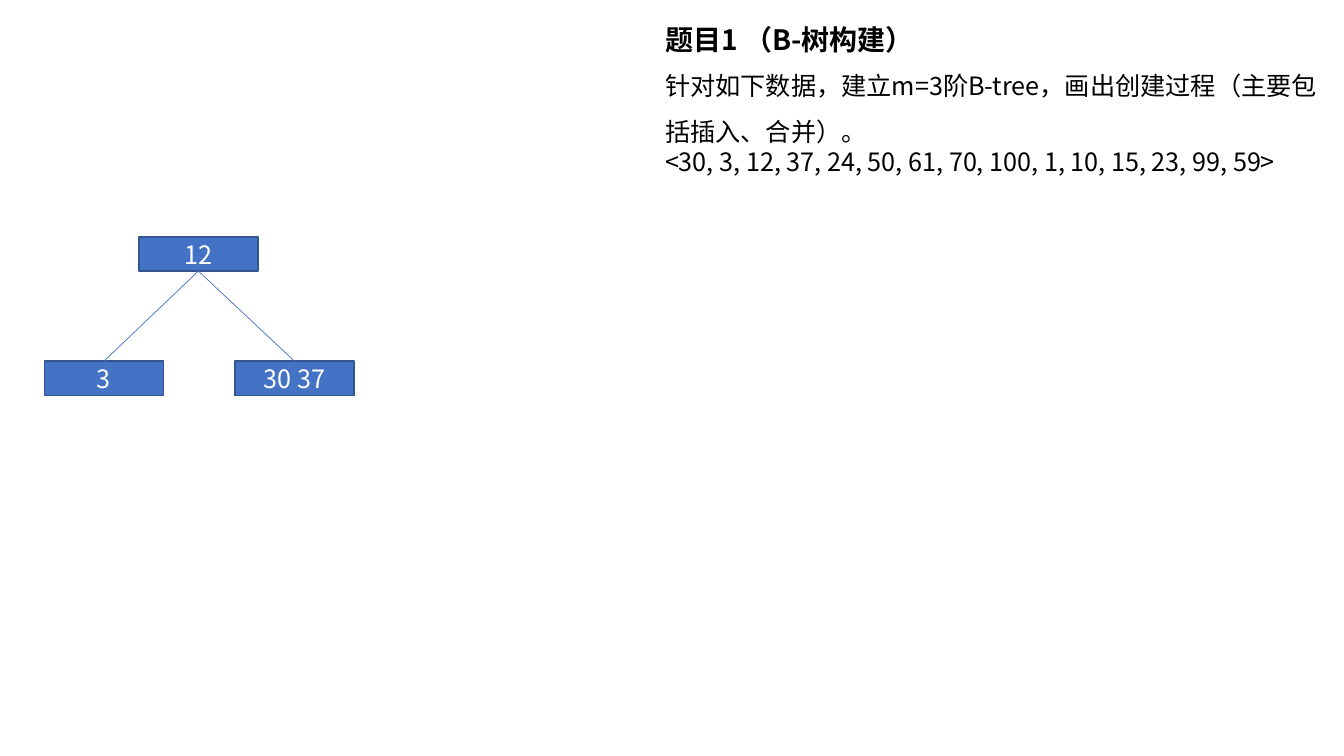
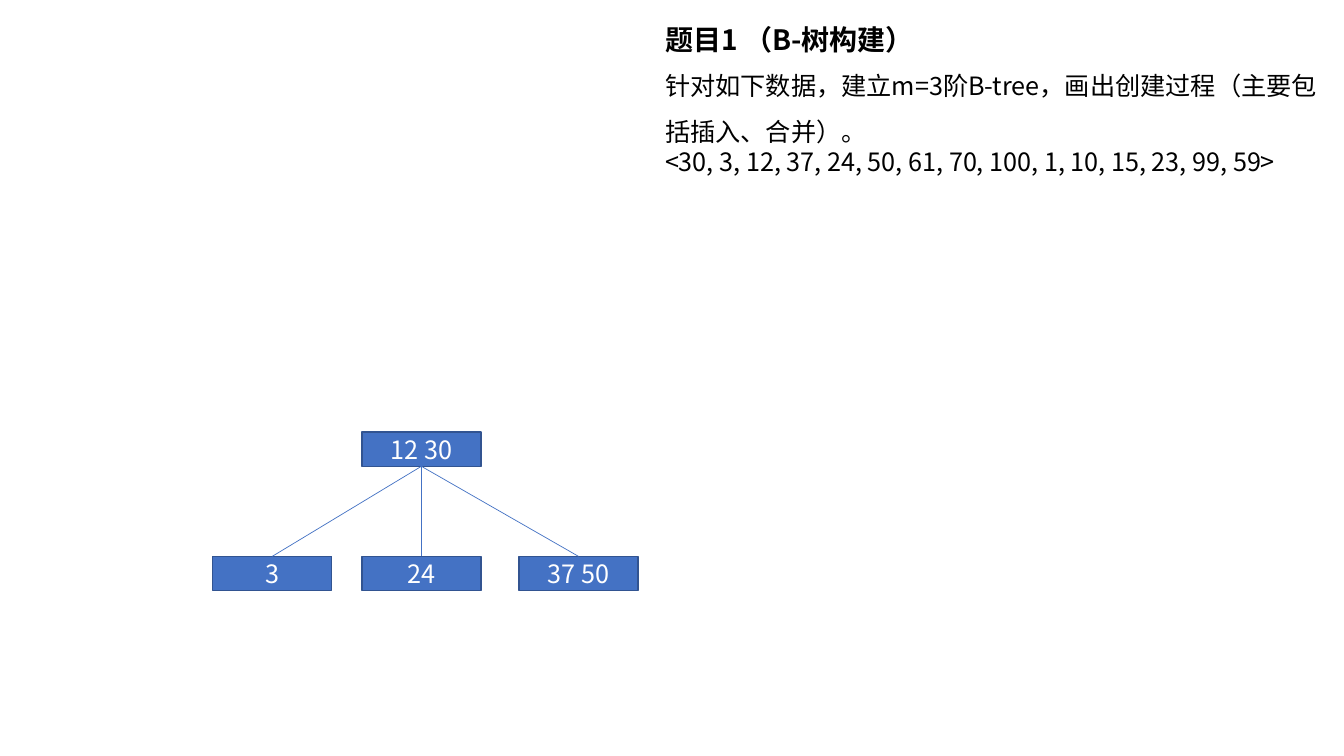
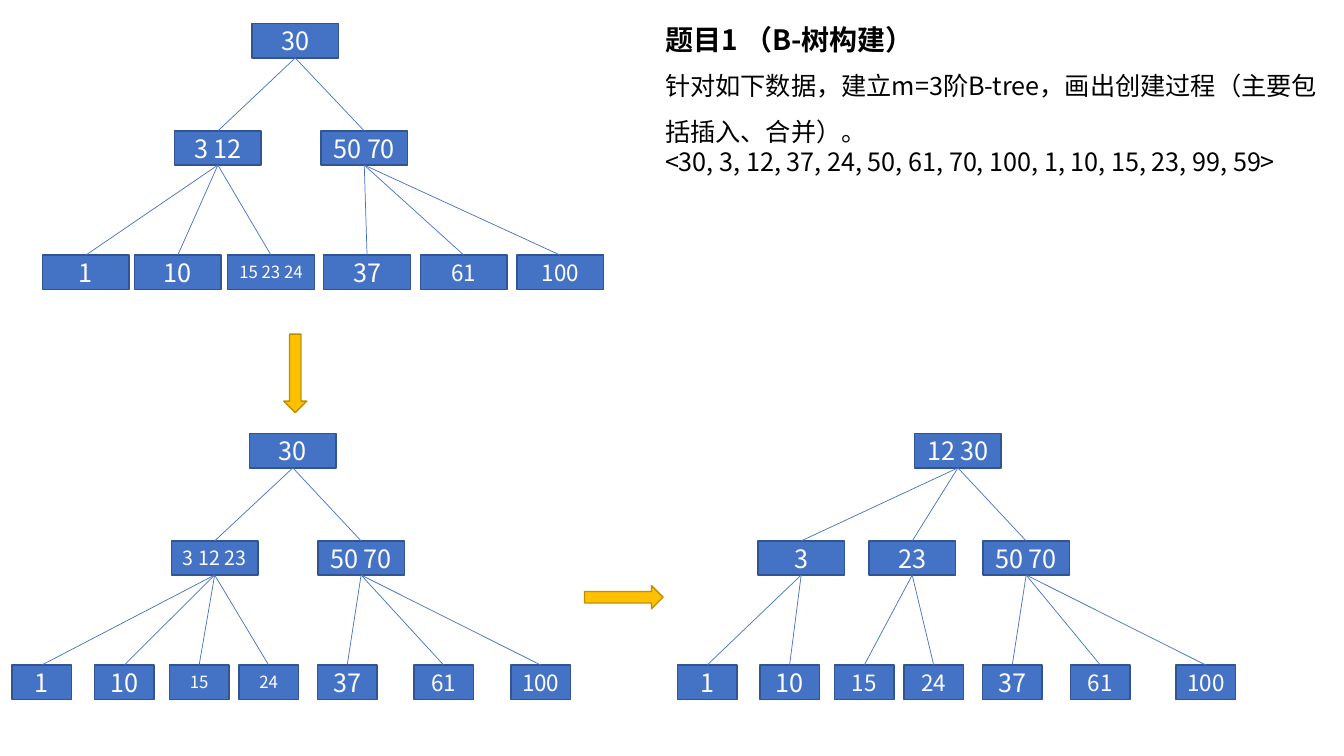
import lxml.etree
import pptx
import pptx.dml.color
import pptx.enum.shapes
import pptx.enum.text
import pptx.oxml.ns
import pptx.util

Cm = pptx.util.Cm
Pt = pptx.util.Pt
SHAPE = pptx.enum.shapes.MSO_SHAPE
ALIGN = pptx.enum.text.PP_ALIGN

FONT = "Noto Sans CJK SC"
HUES = {
    "ink": "000000",
    "light": "FFFFFF",
    "node": "4472C4",
    "edge": "325491",
    "arrow": "FFC000",
    "rim": "BD8E00",
}

# Tree sizes in cm
HIGH = 0.86
WIDE, MID, SLIM = 3, 2.18, 1.5
UPPER, LOWER = 2.7, 3.13  # drop from one level to the next

# The task: text, size, bold, alignment, line spacing
TASK = [
    ("题目1 （B-树构建）", 20, True, ALIGN.JUSTIFY, None),
    ("针对如下数据，建立m=3阶B-tree，画出创建过程（主要包括插入、合并）。",
     18, False, None, 1.5),
    ("<30, 3, 12, 37, 24, 50, 61, 70, 100, 1, 10, 15, 23, 99, 59>",
     18, False, ALIGN.JUSTIFY, None),
]


def hue(name):
    return pptx.dml.color.RGBColor.from_string(HUES[name])


def add_run(para, text, size, tint, bold=False):
    run = para.add_run()
    run.text = text
    font = run.font
    font.size = Pt(size)
    font.bold = bold
    font.color.rgb = hue(tint)
    font.name = FONT
    east = lxml.etree.SubElement(run._r.get_or_add_rPr(),
                                 pptx.oxml.ns.qn("a:ea"))
    east.set("typeface", FONT)


def add_shape(slide, kind, left, top, wide, high, fill, rim):
    shape = slide.shapes.add_shape(kind, Cm(left), Cm(top), Cm(wide), Cm(high))
    shape.shadow.inherit = False
    shape.fill.solid()
    shape.fill.fore_color.rgb = hue(fill)
    shape.line.color.rgb = hue(rim)
    shape.line.width = Pt(1)
    return shape


def add_task(slide):
    box = slide.shapes.add_textbox(Cm(16.51), Cm(0.43), Cm(16.94), Cm(4.19))
    frame = box.text_frame
    frame.word_wrap = True
    frame.auto_size = pptx.enum.text.MSO_AUTO_SIZE.SHAPE_TO_FIT_TEXT
    for spot, (text, size, bold, align, space) in enumerate(TASK):
        para = frame.add_paragraph() if spot else frame.paragraphs[0]
        para.alignment = align
        para.line_spacing = space
        add_run(para, text, size, "ink", bold)


def add_node(slide, text, size, mid, top, wide):
    node = add_shape(slide, SHAPE.FLOWCHART_PROCESS, mid - wide / 2, top,
                     wide, HIGH, "node", "edge")
    frame = node.text_frame
    frame.vertical_anchor = pptx.enum.text.MSO_ANCHOR.MIDDLE
    para = frame.paragraphs[0]
    para.alignment = ALIGN.CENTER
    add_run(para, text, size, "light")
    return node


def add_link(slide, upper, lower):
    link = slide.shapes.add_connector(
        pptx.enum.shapes.MSO_CONNECTOR.STRAIGHT, 0, 0, 0, 0)
    link.begin_connect(upper, 2)
    link.end_connect(lower, 0)
    link.line.color.rgb = hue("node")
    link.line.width = Pt(0.5)
    lxml.etree.SubElement(link._element.spPr, pptx.oxml.ns.qn("a:effectLst"))


def add_tree(slide, tree, top, drops, wide, leaf):
    """Draw a node (text, size, middle, child, ...) and all below it."""
    text, size, mid, *kids = tree
    node = add_node(slide, text, size, mid, top, wide if kids else leaf)
    for kid in kids:
        below = add_tree(slide, kid, top + drops[0], drops[1:], wide, leaf)
        add_link(slide, node, below)
    return node


def add_arrow(slide, left, top, turn=0):
    arrow = add_shape(slide, SHAPE.RIGHT_ARROW, left, top, 1.98, 0.58,
                      "arrow", "rim")
    arrow.rotation = turn


# Trees: text, size, middle in cm, children
FIRST = ("12", 18, 5, ("3", 18, 2.62), ("30 37", 18, 7.42))
NEXT = ("12 30", 18, 10.62,
        ("3", 18, 6.86), ("24", 18, 10.62), ("37 50", 18, 14.58))
FULL = ("30", 18, 7.44,
        ("3 12", 18, 5.49,
         ("1", 18, 2.16), ("10", 18, 4.48), ("15 23 24", 12, 6.83)),
        ("50 70", 18, 9.18,
         ("37", 18, 9.25), ("61", 16, 11.69), ("100", 16, 14.12)))
SPLIT = ("30", 18, 7.38,
         ("3 12 23", 14, 5.41,
          ("1", 18, 1.05), ("10", 18, 3.13), ("15", 12, 5.02),
          ("24", 12, 6.77)),
         ("50 70", 18, 9.1,
          ("37", 18, 8.75), ("61", 16, 11.18), ("100", 16, 13.63)))
FINAL = ("12 30", 18, 24.14,
         ("3", 18, 20.19, ("1", 18, 17.82), ("10", 18, 19.9)),
         ("23", 18, 22.99, ("15", 16, 21.78), ("24", 16, 23.53)),
         ("50 70", 18, 25.86,
          ("37", 18, 25.51), ("61", 16, 27.73), ("100", 16, 30.39)))


def main():
    deck = pptx.Presentation()
    deck.slide_width, deck.slide_height = Cm(33.87), Cm(19.05)
    slides = [deck.slides.add_slide(deck.slide_layouts[6]) for _ in range(3)]
    for slide in slides:
        add_task(slide)
    one, two, three = slides

    # Two-level trees
    add_tree(one, FIRST, 5.97, [LOWER], WIDE, WIDE)
    add_tree(two, NEXT, 10.89, [LOWER], WIDE, WIDE)

    # Three-level trees, joined by arrows
    drops = [UPPER, LOWER]
    add_tree(three, FULL, 0.6, drops, MID, MID)
    add_arrow(three, 6.45, 9.12, 90)
    add_tree(three, SPLIT, 10.93, drops, MID, SLIM)
    add_arrow(three, 14.73, 14.76)
    add_tree(three, FINAL, 10.93, drops, MID, SLIM)

    deck.save("out.pptx")


if __name__ == "__main__":
    main()
